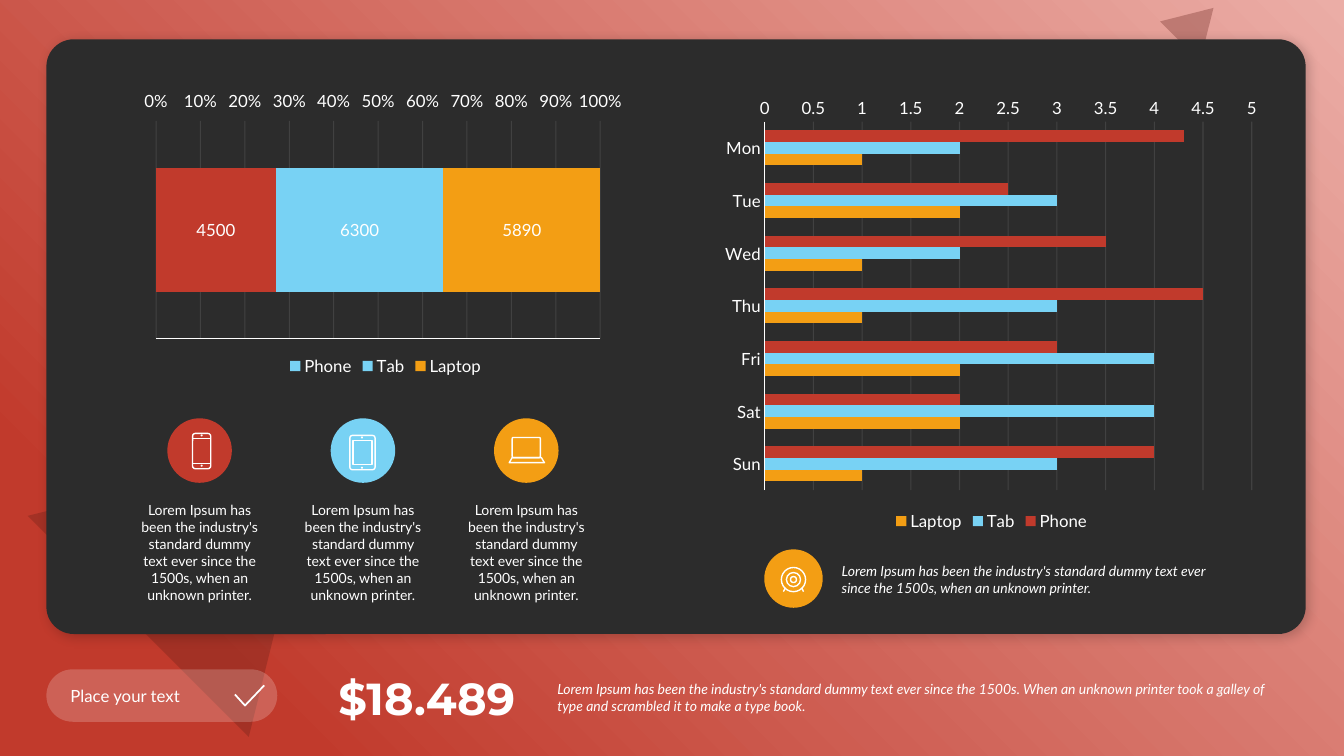
import pptx
import pptx.chart.data
import pptx.dml.color
import pptx.enum.chart
import pptx.enum.shapes
import pptx.enum.text
import pptx.oxml
import pptx.oxml.ns
import pptx.util
from lxml import etree

Inches = pptx.util.Inches
Pt = pptx.util.Pt
RGBColor = pptx.dml.color.RGBColor
SHAPE = pptx.enum.shapes.MSO_SHAPE
ALIGN = pptx.enum.text.PP_ALIGN
ANCHOR = pptx.enum.text.MSO_ANCHOR
CHART = pptx.enum.chart
qn = pptx.oxml.ns.qn

WHITE = RGBColor(0xFF, 0xFF, 0xFF)
DARK = RGBColor(0x2C, 0x2C, 0x2C)
RED = RGBColor(0xC1, 0x3A, 0x2C)
BLUE = RGBColor(0x78, 0xD2, 0xF4)
ORANGE = RGBColor(0xF3, 0x9E, 0x14)
MAROON = RGBColor(0x60, 0x1D, 0x16)
NAMESPACE = pptx.oxml.ns.nsdecls("a")
LOREM = ("Lorem Ipsum has been the industry's standard dummy text ever since "
         "the 1500s, when an unknown printer.")

presentation = pptx.Presentation()
presentation.slide_width = Inches(13.33)
presentation.slide_height = Inches(7.5)
slide = presentation.slides.add_slide(presentation.slide_layouts[6])
slide.background.fill.solid()
slide.background.fill.fore_color.rgb = DARK


def add_shape(parent, kind, box, fill=None, line=None, opacity=100, rotation=0, corner=None):
    shape = parent.shapes.add_shape(kind, *map(Inches, box))
    shape.shadow.inherit = False
    shape.rotation = rotation
    if corner is not None:
        shape.adjustments[0] = corner
    if fill is None:
        shape.fill.background()
    else:
        shape.fill.solid()
        shape.fill.fore_color.rgb = fill
        if opacity < 100:
            color = shape.fill._xPr.find(".//" + qn("a:srgbClr"))
            etree.SubElement(color, qn("a:alpha"), val=str(opacity * 1000))
    if line is None:
        shape.line.fill.background()
    else:
        shape.line.color.rgb = line
        shape.line.width = Pt(1)
    return shape


def add_text(parent, box, text, anchor=ANCHOR.MIDDLE, align=ALIGN.LEFT, **font_values):
    text_box = parent.shapes.add_textbox(*map(Inches, box))
    frame = text_box.text_frame
    frame.word_wrap = True
    frame.auto_size = pptx.enum.text.MSO_AUTO_SIZE.SHAPE_TO_FIT_TEXT
    frame.vertical_anchor = anchor
    paragraph = frame.paragraphs[0]
    paragraph.alignment = align
    run = paragraph.add_run()
    run.text = text
    run.font.color.rgb = WHITE
    for name, value in {"name": "Lato", "size": Pt(10), **font_values}.items():
        setattr(run.font, name, value)


# Backdrop: radial gradient from the top right corner, and two triangles
backdrop = add_shape(slide, SHAPE.RECTANGLE, (0, 0, 13.33, 7.5))
gradient = pptx.oxml.parse_xml(
    f'<a:gradFill {NAMESPACE} rotWithShape="1"><a:gsLst>'
    '<a:gs pos="0"><a:srgbClr val="EBADA6"/></a:gs>'
    '<a:gs pos="85000"><a:srgbClr val="C13A2C"/></a:gs></a:gsLst>'
    '<a:path path="circle"><a:fillToRect l="100000" b="100000"/></a:path></a:gradFill>')
properties = backdrop._element.spPr
properties.replace(properties.find(qn("a:noFill")), gradient)
for box in ((0.73, 4.02, 3.1, 2.57), (11.59, 0.01, 0.56, 0.47)):
    add_shape(slide, SHAPE.ISOSCELES_TRIANGLE, box, MAROON, opacity=30, rotation=45)

# Dark panel with a soft shadow
panel = add_shape(slide, SHAPE.ROUNDED_RECTANGLE, (0.46, 0.39, 12.49, 5.9), DARK, corner=0.046)
panel._element.spPr.find(qn("a:effectLst")).append(pptx.oxml.parse_xml(
    f'<a:outerShdw {NAMESPACE} blurRad="{Pt(8)}" dist="{Pt(3)}" dir="2700000" algn="tl" '
    'rotWithShape="0"><a:srgbClr val="000000"><a:alpha val="20000"/></a:srgbClr></a:outerShdw>'))

# Charts: box, type, gap, overlap, plot area as shares of the chart, categories, series
share_chart = ((1.35, 0.85, 4.95, 2.92), CHART.XL_CHART_TYPE.BAR_STACKED_100, 75, 100,
               (0.04, 0.12, 0.89, 0.74), ["1"],
               (("Phone", [4500], BLUE), ("Tab", [6300], BLUE), ("Laptop", [5890], ORANGE)))
week_chart = ((7.09, 0.85, 5.49, 4.46), CHART.XL_CHART_TYPE.BAR_CLUSTERED, 150, 0,
              (0.09, 0.08, 0.88, 0.82), ["Mon", "Tue", "Wed", "Thu", "Fri", "Sat", "Sun"],
              (("Phone", [4.3, 2.5, 3.5, 4.5, 3, 2, 4], RED),
               ("Tab", [2, 3, 2, 3, 4, 4, 3], BLUE),
               ("Laptop", [1, 2, 1, 1, 2, 2, 1], ORANGE)))
charts = []
for box, kind, gap, overlap, plot_area, categories, series_rows in (share_chart, week_chart):
    data = pptx.chart.data.CategoryChartData()
    data.categories = categories
    for name, values, color in series_rows:
        data.add_series(name, values)
    chart = slide.shapes.add_chart(kind, *map(Inches, box), data).chart
    charts.append(chart)
    chart.has_title = False
    chart.font.name = "Lato"
    chart.font.size = Pt(12)
    chart.font.color.rgb = WHITE
    chart.has_legend = True
    chart.legend.position = CHART.XL_LEGEND_POSITION.BOTTOM
    chart.legend.include_in_layout = False
    plot = chart.plots[0]
    plot.vary_by_categories = False
    plot.gap_width = gap
    plot.overlap = overlap
    for series, (name, values, color) in zip(plot.series, series_rows):
        series.format.fill.solid()
        series.format.fill.fore_color.rgb = color
    for axis in (chart.category_axis, chart.value_axis):
        axis.major_tick_mark = CHART.XL_TICK_MARK.NONE
        axis.format.line.color.rgb = WHITE
        axis.format.line.width = Pt(0.75)
    chart.value_axis.has_major_gridlines = True
    grid_line = chart.value_axis.major_gridlines.format.line
    grid_line.color.rgb = WHITE
    grid_line.width = Pt(0.75)
    grid_color = chart.value_axis._element.find(
        qn("c:majorGridlines")).find(".//" + qn("a:srgbClr"))
    etree.SubElement(grid_color, qn("a:alpha"), val="10000")

    # Fixed inner plot area
    plot_element = chart._chartSpace.chart.plotArea
    layout = plot_element.find(qn("c:layout"))
    if layout is None:
        layout = etree.Element(qn("c:layout"))
        plot_element.insert(0, layout)
    manual = etree.SubElement(layout, qn("c:manualLayout"))
    settings = [("layoutTarget", "inner"), ("xMode", "edge"), ("yMode", "edge")]
    for tag, value in settings + list(zip("xywh", plot_area)):
        etree.SubElement(manual, qn("c:" + tag), val=str(value))

share, week = charts
share.category_axis.visible = False
share.value_axis.tick_label_position = CHART.XL_TICK_LABEL_POSITION.HIGH
share.value_axis.tick_labels.number_format = "0%"
share.value_axis.tick_labels.number_format_is_linked = False
share.plots[0].has_data_labels = True
share.plots[0].data_labels.show_value = True
share.plots[0].data_labels.font.color.rgb = WHITE
phone_bar = share.plots[0].series[0].points[0].format.fill
phone_bar.solid()
phone_bar.fore_color.rgb = RED
week.category_axis.reverse_order = True
week.value_axis.format.line.fill.background()
week.value_axis.minimum_scale = 0
week.value_axis.maximum_scale = 5
week.value_axis.major_unit = 0.5

# Device captions and all round badges
for column, color in enumerate((RED, BLUE, ORANGE)):
    left = 1.3 + 1.62 * column
    add_shape(slide, SHAPE.OVAL, (left + 0.36, 4.15, 0.64, 0.64), color)
    add_text(slide, (left, 4.93, 1.36, 1.11), LOREM, ANCHOR.TOP, ALIGN.CENTER)
add_shape(slide, SHAPE.OVAL, (7.58, 5.45, 0.58, 0.58), ORANGE)

# Icon outlines: phone, tablet, laptop, target
for kind, box, corner in (
        (SHAPE.ROUNDED_RECTANGLE, (1.91, 4.3, 0.18, 0.35), 0.15),
        (SHAPE.RECTANGLE, (1.91, 4.35, 0.18, 0.25), None),
        (SHAPE.ROUNDED_RECTANGLE, (3.47, 4.32, 0.25, 0.34), 0.1),
        (SHAPE.RECTANGLE, (3.5, 4.37, 0.19, 0.24), None),
        (SHAPE.ROUNDED_RECTANGLE, (5.08, 4.34, 0.28, 0.2), 0.06),
        (SHAPE.TRAPEZOID, (5.05, 4.54, 0.35, 0.05), 0.6)):
    add_shape(slide, kind, box, line=WHITE, corner=corner)
for radius in (0.12, 0.07, 0.03):
    add_shape(slide, SHAPE.OVAL, (7.87 - radius, 5.75 - radius, 2 * radius, 2 * radius), line=WHITE)
for side in (-1, 1):
    leg = slide.shapes.add_connector(
        pptx.enum.shapes.MSO_CONNECTOR.STRAIGHT, Inches(7.87 + 0.08 * side), Inches(5.83),
        Inches(7.87 + 0.1 * side), Inches(5.87))
    leg.line.color.rgb = WHITE
    leg.line.width = Pt(1)
    etree.SubElement(leg._element.spPr, qn("a:effectLst"))
for x, y in ((2, 4.32), (2, 4.62), (3.59, 4.34), (3.59, 4.64)):
    add_shape(slide, SHAPE.OVAL, (x - 0.01, y - 0.01, 0.02, 0.02), WHITE)
add_text(slide, (8.25, 5.53, 4.07, 0.44), LOREM, italic=True)

# Footer: pill with check mark, amount and description
pill = slide.shapes.add_group_shape()
add_shape(pill, SHAPE.ROUNDED_RECTANGLE, (0.46, 6.64, 2.29, 0.52), WHITE, opacity=20, corner=0.5)
builder = pill.shapes.build_freeform(Inches(2.33), Inches(6.89))
builder.add_line_segments([(Inches(2.43), Inches(7)), (Inches(2.62), Inches(6.8))], close=False)
check = builder.convert_to_shape()
check.shadow.inherit = False
check.fill.background()
check.line.color.rgb = WHITE
check.line.width = Pt(1.25)
add_text(pill, (0.6, 6.75, 1.88, 0.3), "Place your text", size=Pt(12))
add_text(slide, (3.19, 6.6, 2.02, 0.64), "$18.489", align=ALIGN.RIGHT,
         name="Montserrat", size=Pt(32), bold=True)
add_text(slide, (5.43, 6.7, 7.33, 0.44),
         "Lorem Ipsum has been the industry's standard dummy text ever since the 1500s. When an "
         "unknown printer took a galley of type and scrambled it to make a type book.", italic=True)

presentation.save("out.pptx")
